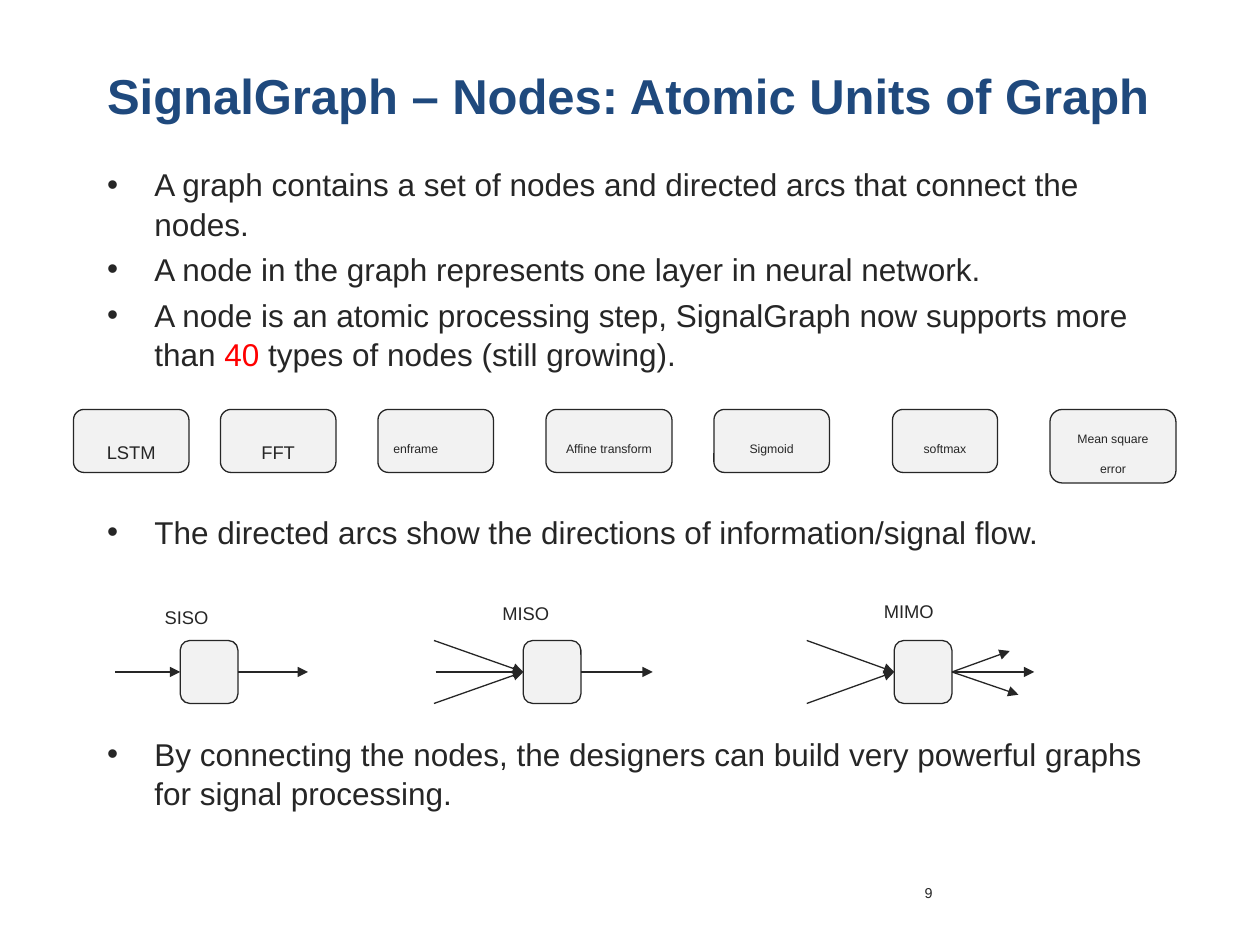
from lxml import etree
from pptx import Presentation
from pptx.dml.color import RGBColor
from pptx.enum import shapes, text
from pptx.oxml.ns import qn
from pptx.util import Pt

COLORS = {"title": "1F497D", "ink": "262626", "accent": "FF0000", "fill": "F2F2F2"}
FONT = "Arial"
LEFT, CENTER, RIGHT = text.PP_ALIGN.LEFT, text.PP_ALIGN.CENTER, text.PP_ALIGN.RIGHT
TOP, MIDDLE = text.MSO_ANCHOR.TOP, text.MSO_ANCHOR.MIDDLE

# Content
TITLE = "SignalGraph – Nodes: Atomic Units of Graph"
# (space before, [(words, color), ...])
BULLETS = [
    (3.6, [("A graph contains a set of nodes and directed arcs that connect the nodes.", "ink")]),
    (3.6, [("A node in the graph represents one layer in neural network.", "ink")]),
    (3.6, [("A node is an atomic processing step, SignalGraph now supports more than ", "ink"),
           ("40", "accent"), (" types of nodes (still growing).", "ink")]),
    (79, [("The directed arcs show the directions of information/signal flow.", "ink")]),
    (104.5, [("By connecting the nodes, the designers can build very powerful graphs "
              "for signal processing.", "ink")]),
]
# (label, left, width, height, size, anchor, alignment)
NODE_TYPES = [
    ("LSTM", 42, 66, 36, 10.5, TOP, CENTER),
    ("FFT", 126, 66, 36, 10.5, TOP, CENTER),
    ("enframe", 216, 66, 36, 7, MIDDLE, LEFT),
    ("Affine transform", 312, 72, 36, 7, MIDDLE, CENTER),
    ("Sigmoid", 408, 66, 36, 7, MIDDLE, CENTER),
    ("softmax", 510, 60, 36, 7, MIDDLE, CENTER),
    ("Mean square error", 600, 72, 42, 7, MIDDLE, CENTER),
]
# Arc ends are (x, y) offsets: inputs from the node's left edge, outputs from its right
FLOWS = [
    {"label": "SISO", "label_at": (87, 330), "left": 103,
     "inputs": [(-37, 0)], "outputs": [(40, 0)]},
    {"label": "MISO", "label_at": (280, 328), "left": 299,
     "inputs": [(-51, -18), (-50, 0), (-51, 18)], "outputs": [(41, 0)]},
    {"label": "MIMO", "label_at": (498, 327), "left": 511,
     "inputs": [(-50, -18), (-50, 18)], "outputs": [(33, -12), (47, 0), (38, 13)]},
]
PAGE = "9"
NODE_TYPES_TOP = 234
FLOW_NODE_WIDTH, FLOW_NODE_HEIGHT, FLOW_MIDDLE = 33, 36, 384


def rgb(name):
    return RGBColor.from_string(COLORS[name])


def style(run, size, color="ink", bold=False):
    run.font.name, run.font.size, run.font.bold = FONT, Pt(size), bold
    run.font.color.rgb = rgb(color)


def place(part, left, top, width, height):
    part.left, part.top, part.width, part.height = map(Pt, (left, top, width, height))


def write(part, words, size, align=LEFT, anchor=TOP):
    frame = part.text_frame
    frame.word_wrap = True
    frame.vertical_anchor = anchor
    frame.text = words
    line = frame.paragraphs[0]
    line.alignment, line.line_spacing = align, 2.0
    style(line.runs[0], size)


def add_node(slide, left, top, width, height):
    node = slide.shapes.add_shape(shapes.MSO_SHAPE.ROUNDED_RECTANGLE,
                                  *map(Pt, (left, top, width, height)))
    node.shadow.inherit = False
    node.fill.solid()
    node.fill.fore_color.rgb = rgb("fill")
    node.line.color.rgb = rgb("ink")
    node.line.width = Pt(0.75)
    return node


def add_label(slide, words, box, size, align=LEFT):
    label = slide.shapes.add_textbox(*map(Pt, box))
    write(label, words, size, align)


def add_arc(slide, *ends):
    arc = slide.shapes.add_connector(shapes.MSO_CONNECTOR.STRAIGHT, *map(Pt, ends))
    arc.line.color.rgb = rgb("ink")
    arc.line.width = Pt(0.75)
    etree.SubElement(arc.line._get_or_add_ln(), qn("a:tailEnd"), type="triangle")
    etree.SubElement(arc._element.spPr, qn("a:effectLst"))


def add_title(slide):
    title = slide.shapes.title
    place(title, 54, 18, 630, 72)
    frame = title.text_frame
    frame.text = TITLE
    frame.auto_size = text.MSO_AUTO_SIZE.NONE
    frame.vertical_anchor = MIDDLE
    frame.paragraphs[0].alignment = LEFT
    style(frame.paragraphs[0].runs[0], 28, "title", True)


def add_bullets(slide):
    body = slide.placeholders[1]
    place(body, 54, 90, 612, 432)
    frame = body.text_frame
    frame.auto_size = text.MSO_AUTO_SIZE.NONE
    for index, (gap, pieces) in enumerate(BULLETS):
        bullet = frame.paragraphs[0] if index == 0 else frame.add_paragraph()
        bullet.space_before, bullet.line_spacing = Pt(gap), 1.04
        props = bullet._p.get_or_add_pPr()
        props.set("marL", str(Pt(27)))
        props.set("indent", str(Pt(-27)))
        etree.SubElement(props, qn("a:buFont"), typeface=FONT)
        etree.SubElement(props, qn("a:buChar"), char="•")
        for words, color in pieces:
            run = bullet.add_run()
            run.text = words
            style(run, 18, color)


def main():
    deck = Presentation()
    deck.slide_width, deck.slide_height = Pt(720), Pt(540)
    slide = deck.slides.add_slide(deck.slide_layouts[1])
    add_title(slide)
    add_bullets(slide)
    add_label(slide, PAGE, (474, 492, 66, 36), 8.2, RIGHT)

    # Row of node types
    for words, left, width, height, size, anchor, align in NODE_TYPES:
        node = add_node(slide, left, NODE_TYPES_TOP, width, height)
        write(node, words, size, align, anchor)

    # Input and output patterns
    for flow in FLOWS:
        left = flow["left"]
        right = left + FLOW_NODE_WIDTH
        add_node(slide, left, FLOW_MIDDLE - FLOW_NODE_HEIGHT / 2,
                 FLOW_NODE_WIDTH, FLOW_NODE_HEIGHT)
        for x, y in flow["inputs"]:
            add_arc(slide, left + x, FLOW_MIDDLE + y, left, FLOW_MIDDLE)
        for x, y in flow["outputs"]:
            add_arc(slide, right, FLOW_MIDDLE, right + x, FLOW_MIDDLE + y)
        add_label(slide, flow["label"], (*flow["label_at"], 62, 29), 10.5)

    deck.save("out.pptx")


if __name__ == "__main__":
    main()
